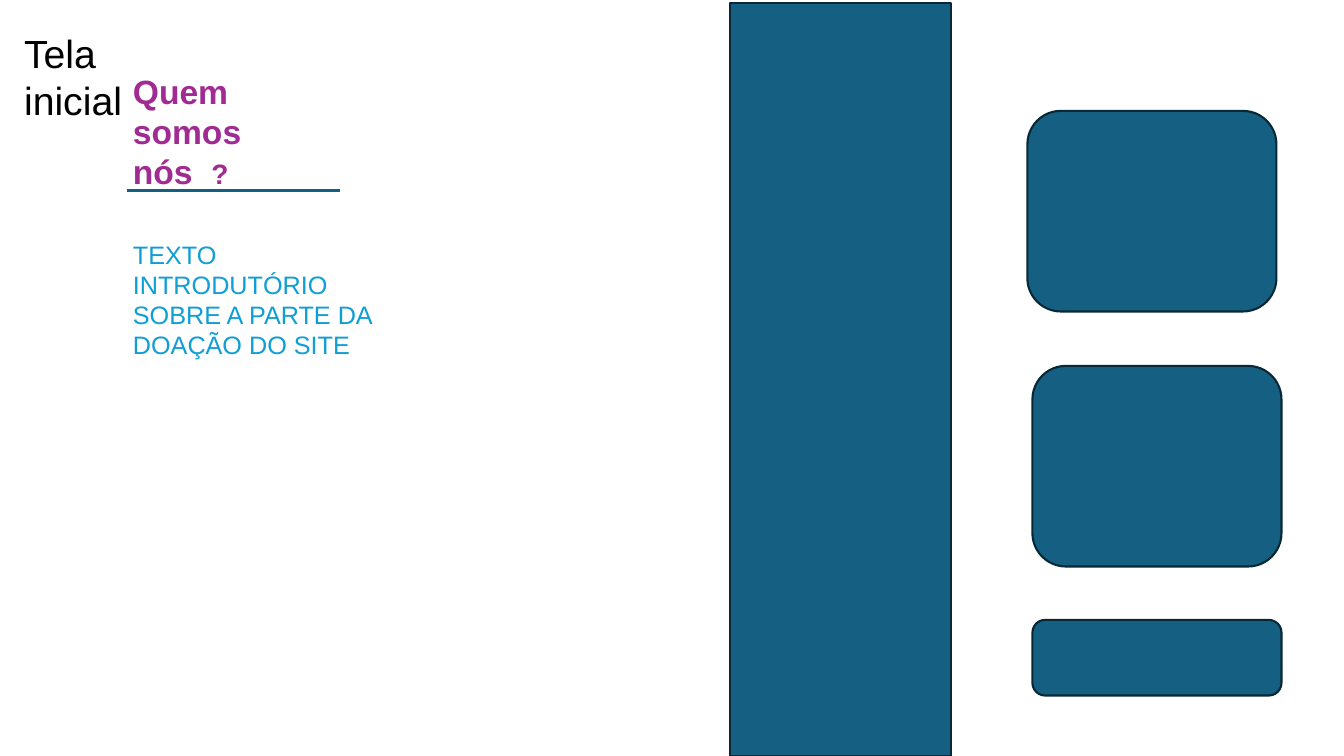
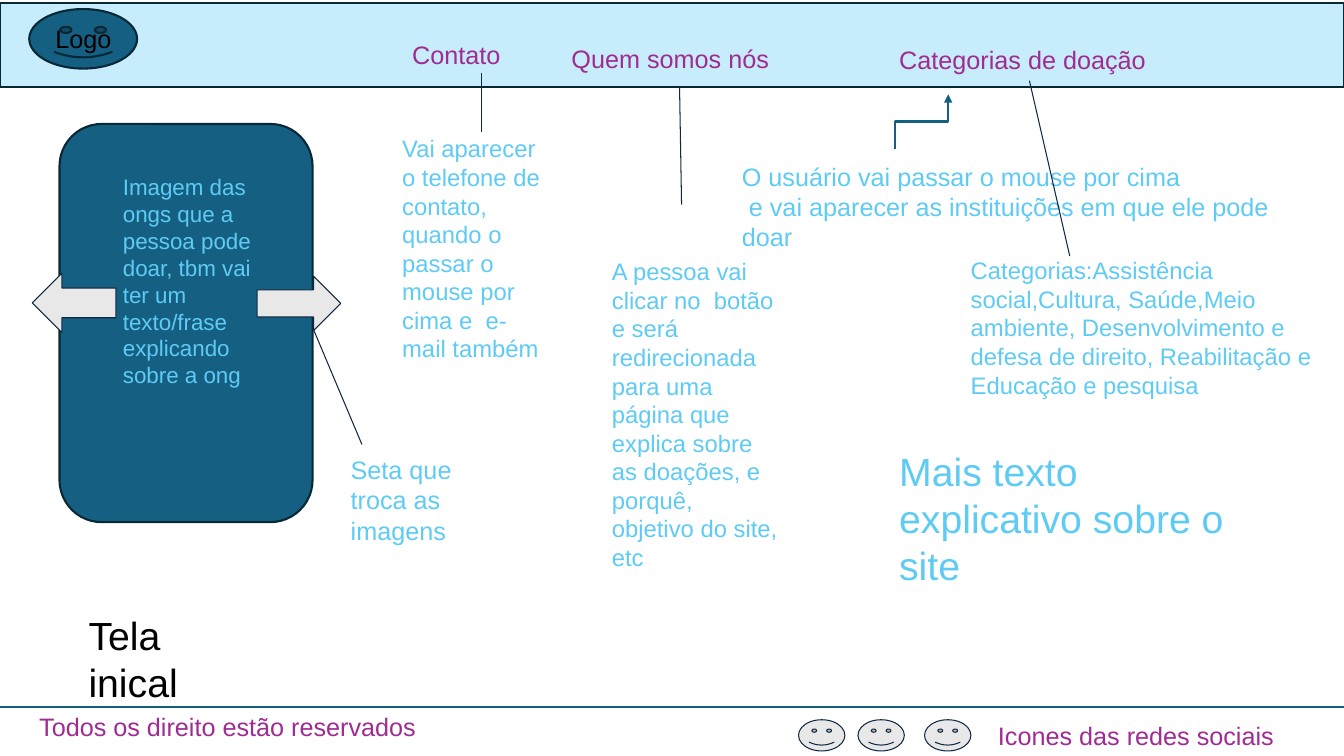
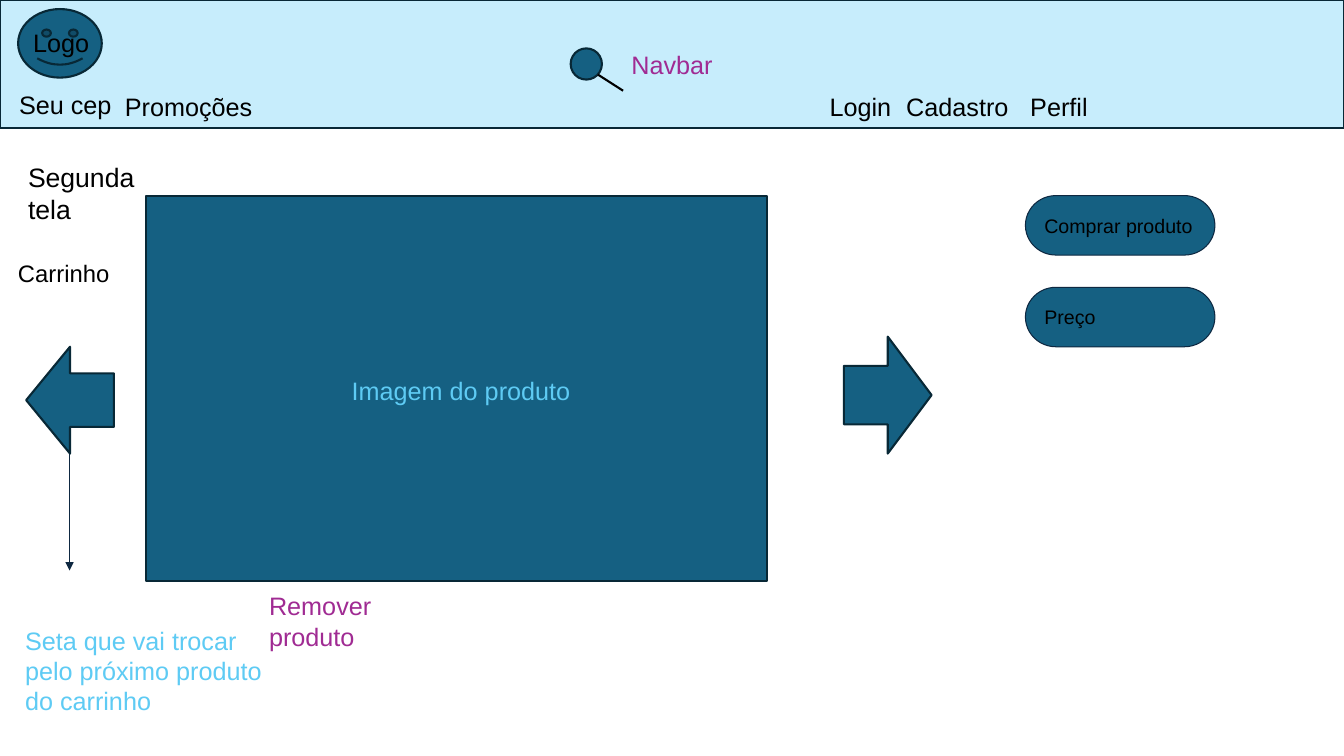
from pptx import Presentation
from pptx.dml.color import RGBColor
from pptx.enum.shapes import MSO_CONNECTOR as Link, MSO_SHAPE as Shape
from pptx.enum.text import MSO_ANCHOR as Anchor, PP_ALIGN as Align
from pptx.oxml.ns import qn
from pptx.util import Pt
from lxml import etree

PX = 9144  # 100 px to the inch
FONT = "Arial"
TEAL, PALE, GREY = "156082", "C7EDFC", "E8E8E8"
PURPLE, SKY, BLUE, BLACK = "A02B93", "5ECBF4", "0F9ED5", "000000"
EDGE, THIN, RULE = ("082836", 1.5), ("0E2841", 0.75), (TEAL, 1.5)
PEN = (BLACK, 1.5)
TIGHT, LOOSE = 5, 10  # top and bottom text insets

colour = RGBColor.from_string


def add_shape(slide, kind, box, fill=TEAL, edge=EDGE):
    shape = slide.shapes.add_shape(kind, *[value * PX for value in box])
    shape.shadow.inherit = False
    shape.fill.solid()
    shape.fill.fore_color.rgb = colour(fill)
    shape.line.color.rgb = colour(edge[0])
    shape.line.width = Pt(edge[1])
    return shape


def write(shape, text, size, ink, inset=TIGHT, align=Align.LEFT, anchor=Anchor.TOP):
    """Fill a shape or text box with text, one paragraph per line."""
    frame = shape.text_frame
    frame.word_wrap = True
    frame.vertical_anchor = anchor
    frame.margin_left = frame.margin_right = 10 * PX
    frame.margin_top = frame.margin_bottom = inset * PX
    frame.text = text
    for paragraph in frame.paragraphs:
        paragraph.alignment = align
        paragraph.font.name = FONT
        paragraph.font.size = Pt(size)
        paragraph.font.color.rgb = colour(ink)
    return frame


presentation = Presentation()
presentation.slide_width, presentation.slide_height = 1333 * PX, 750 * PX
blank = presentation.slide_layouts[6]
about, home, product = [presentation.slides.add_slide(blank) for _ in range(3)]

# About page
add_shape(about, Shape.RECTANGLE, (724, 3, 219, 747))
for left, top, height in [(1019, 110, 199), (1024, 363, 199), (1024, 615, 75)]:
    add_shape(about, Shape.ROUNDED_RECTANGLE, (left, top, 247, height))

heading_box = about.shapes.add_textbox(122 * PX, 65 * PX, 190 * PX, 91 * PX)
heading = write(heading_box, "Quem somos nós  ", 24, PURPLE).paragraphs[0]
heading.font.bold = True
question_mark = heading.add_run()
question_mark.text = "?"
question_mark.font.size = Pt(20)

# Home page
add_shape(home, Shape.RECTANGLE, (0, 3, 1333, 83), PALE)
add_shape(home, Shape.ROUNDED_RECTANGLE, (59, 123, 251, 395))
add_shape(home, Shape.LEFT_ARROW, (32, 271, 83, 59), GREY, THIN)
add_shape(home, Shape.RIGHT_ARROW, (255, 274, 83, 54), GREY, THIN)
add_shape(home, Shape.SMILEY_FACE, (29, 9, 107, 59))
for left in (792, 851, 917):
    add_shape(home, Shape.SMILEY_FACE, (left, 714, 46, 31), GREY, THIN)

# Product page
navbar = add_shape(product, Shape.RECTANGLE, (0, 0, 1333, 127), PALE)
write(navbar, "Navbar", 18, PURPLE, align=Align.CENTER, anchor=Anchor.MIDDLE)
add_shape(product, Shape.RECTANGLE, (145, 194, 616, 382))
add_shape(product, Shape.LEFT_ARROW, (26, 344, 87, 106))
add_shape(product, Shape.RIGHT_ARROW, (837, 334, 87, 116))
add_shape(product, Shape.SMILEY_FACE, (18, 9, 83, 68))
add_shape(product, Shape.OVAL, (566, 48, 31, 31))
for top, label in [(194, "Comprar produto"), (285, "Preço")]:
    button = add_shape(product, Shape.FLOWCHART_TERMINATOR, (1017, top, 188, 59), edge=THIN)
    write(button, label, 14, BLACK, LOOSE, anchor=Anchor.MIDDLE)

# Text boxes: slide, box, inset, size, ink, text
texts = [
    (about, (122, 232, 278, 131), TIGHT, 18, BLUE,
     "TEXTO INTRODUTÓRIO SOBRE A PARTE DA DOAÇÃO DO SITE"),
    (about, (14, 19, 131, 34), LOOSE, 28, BLACK, "Tela inicial"),

    (home, (45, 18, 80, 40), TIGHT, 18, BLACK, "Logo"),
    (home, (399, 29, 158, 31), LOOSE, 18, PURPLE, "Contato"),
    (home, (557, 33, 234, 54), LOOSE, 18, PURPLE, "Quem somos nós"),
    (home, (882, 39, 278, 40), TIGHT, 18, PURPLE, "Categorias de doação"),
    (home, (112, 162, 165, 248), LOOSE, 16, SKY,
     "Imagem das ongs que a pessoa pode doar, tbm vai ter um texto/frase "
     "explicando sobre a ong"),
    (home, (389, 123, 158, 71), LOOSE, 17, SKY,
     "Vai aparecer o telefone de contato,  quando o passar o mouse por cima "
     "e  e-mail também"),
    (home, (597, 245, 185, 83), LOOSE, 17, SKY,
     "A pessoa vai clicar no  botão e será redirecionada para uma página que "
     "explica sobre as doações, e porquê, objetivo do site, etc"),
    (home, (726, 155, 591, 71), TIGHT, 18, SKY,
     "O usuário vai passar o mouse por cima\n"
     " e vai aparecer as instituições em que ele pode doar"),
    (home, (953, 244, 370, 114), LOOSE, 17, SKY,
     "Categorias:Assistência social,Cultura, Saúde,Meio ambiente, "
     "Desenvolvimento e defesa de direito, Reabilitação e Educação e pesquisa"),
    (home, (338, 441, 123, 83), LOOSE, 18, SKY, "Seta que troca as imagens"),
    (home, (882, 434, 350, 190), LOOSE, 28, SKY, "Mais texto explicativo sobre o site"),
    (home, (78, 596, 116, 62), LOOSE, 28, BLACK, "Tela inical"),
    (home, (29, 701, 428, 40), TIGHT, 18, PURPLE, "Todos os direito estão reservados"),
    (home, (980, 710, 317, 40), TIGHT, 18, PURPLE, "Icones das redes sociais"),

    (product, (23, 22, 80, 40), TIGHT, 18, BLACK, "Logo"),
    (product, (9, 84, 112, 40), TIGHT, 18, BLACK, "Seu cep"),
    (product, (114, 86, 171, 40), TIGHT, 18, BLACK, "Promoções"),
    (product, (813, 86, 84, 40), TIGHT, 18, BLACK, "Login"),
    (product, (889, 86, 136, 40), TIGHT, 18, BLACK, "Cadastro"),
    (product, (1012, 86, 80, 40), TIGHT, 18, BLACK, "Perfil"),
    (product, (18, 150, 126, 31), LOOSE, 19, BLACK, "Segunda tela"),
    (product, (8, 247, 145, 31), LOOSE, 17, BLACK, "Carrinho"),
    (product, (339, 362, 237, 81), LOOSE, 18, SKY, "Imagem do produto"),
    (product, (257, 576, 165, 81), LOOSE, 18, PURPLE, "Remover produto"),
    (product, (15, 610, 280, 127), LOOSE, 18, SKY,
     "Seta que vai trocar pelo próximo produto do carrinho"),
]
for slide, box, inset, size, ink, text in texts:
    text_box = slide.shapes.add_textbox(*[value * PX for value in box])
    write(text_box, text, size, ink, inset)

# Lines: slide, kind, ends, pen, arrowhead, rotation
lines = [
    (about, Link.STRAIGHT, (126, 189, 337, 189), RULE, False, 0),
    (home, Link.STRAIGHT, (0, 701, 1333, 701), RULE, False, 0),
    (home, Link.ELBOW, (887, 94, 941, 147), RULE, True, 270),
    (home, Link.STRAIGHT, (478, 72, 478, 131), THIN, False, 0),
    (home, Link.STRAIGHT, (674, 86, 676, 203), THIN, False, 0),
    (home, Link.STRAIGHT, (311, 327, 359, 441), THIN, False, 0),
    (home, Link.STRAIGHT, (1021, 80, 1061, 254), THIN, False, 0),
    (product, Link.STRAIGHT, (69, 450, 69, 566), THIN, True, 0),
    (product, Link.STRAIGHT, (593, 74, 618, 90), PEN, False, 0),
]
for slide, kind, ends, (ink, width), arrowhead, rotation in lines:
    connector = slide.shapes.add_connector(kind, *[value * PX for value in ends])
    connector.line.color.rgb = colour(ink)
    connector.line.width = Pt(width)
    properties = connector._element.spPr
    if rotation:
        properties.find(qn("a:xfrm")).set("rot", str(rotation * 60000))
    if arrowhead:
        etree.SubElement(properties.find(qn("a:ln")), qn("a:tailEnd"), type="triangle")
    etree.SubElement(properties, qn("a:effectLst"))

presentation.save("out.pptx")
